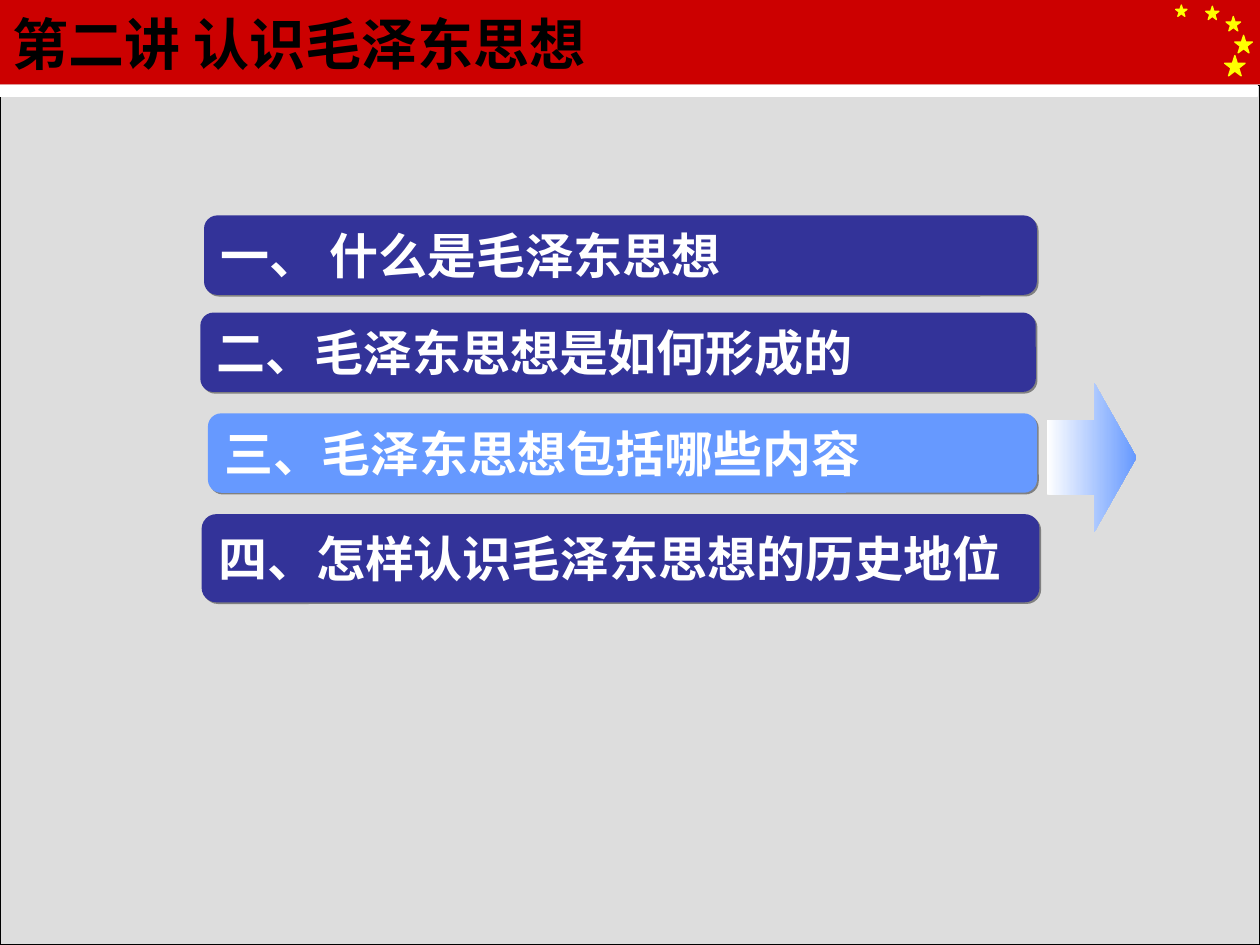
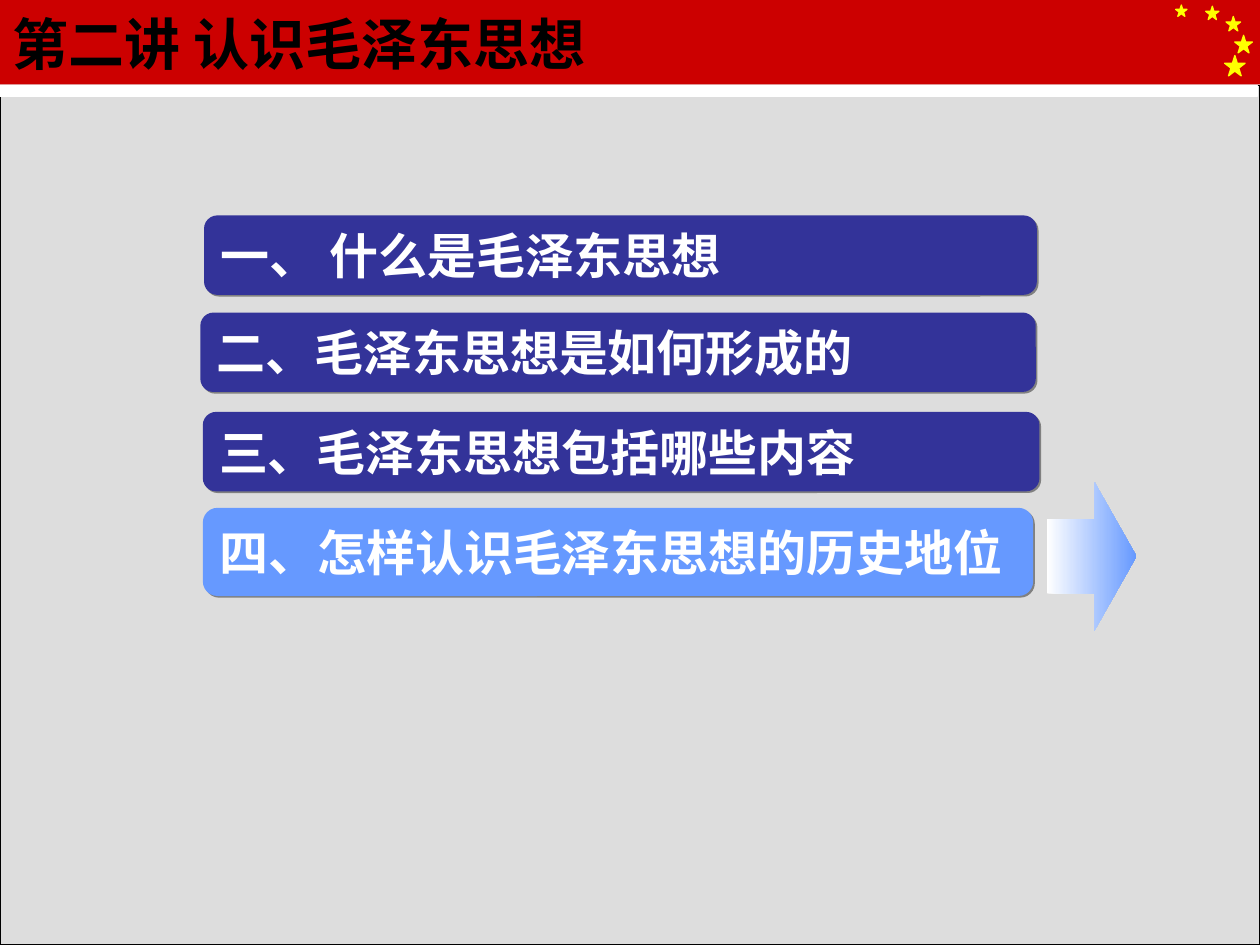
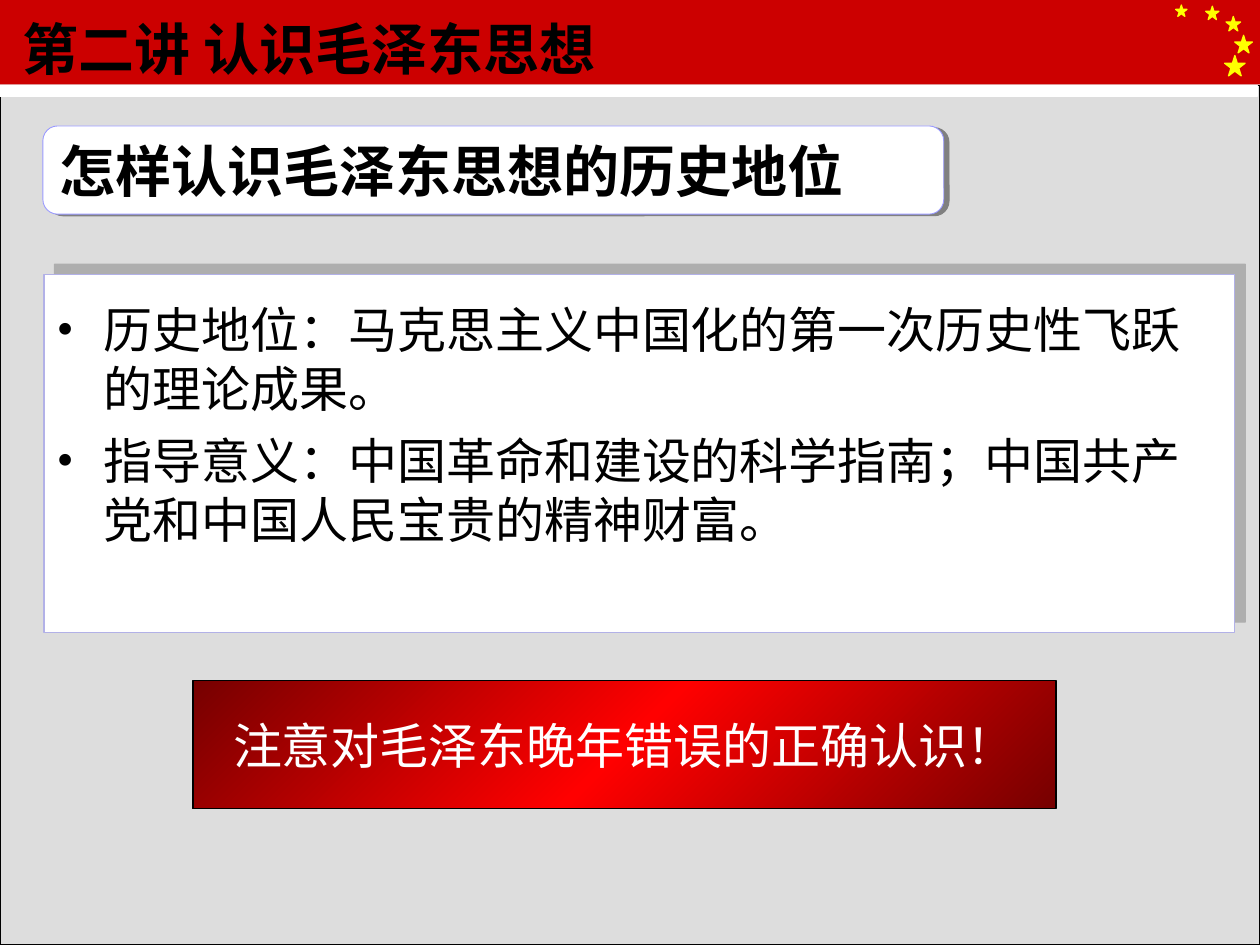
from lxml.etree import SubElement
from pptx import Presentation
from pptx.dml.color import RGBColor
from pptx.enum.shapes import MSO_SHAPE
from pptx.enum.text import MSO_ANCHOR, PP_ALIGN
from pptx.oxml.ns import qn
from pptx.util import Pt

COLORS = {
    "backdrop": "EAEAEA",
    "panel": "DDDDDD",
    "band": "CC0000",
    "star": "FFFF00",
    "white": "FFFFFF",
    "black": "000000",
    "topic": "333399",
    "current": "6699FF",
    "heading_edge": "9999FF",
    "card_edge": "B2B1E7",
    "shadow": "808080",
    "dark_red": "760000",
    "red": "FF0000",
}
CHINESE = "Noto Sans CJK SC"
LATIN = "Times New Roman"
WIDTH, HEIGHT = 720, 540
BAND_HEIGHT = 48.24
STARS = [
    (699.8, 31.7, 11.7),
    (689, 3.6, 7.6),
    (671.8, 2.9, 6.5),
    (700.6, 9.4, 8.3),
    (705.6, 20.2, 10.1),
]
TOPIC_SHADOW = (100, 1.4, 45)
LECTURE = "第二讲 认识毛泽东思想"
TOPICS = [
    "一、 什么是毛泽东思想",
    "二、毛泽东思想是如何形成的",
    "三、毛泽东思想包括哪些内容",
    "四、怎样认识毛泽东思想的历史地位",
]
INTRO_PLACES = [(116.6, 123.1, 475.9, 45.4), (114.5, 178.6, 477.4, 45.4)]
AGENDAS = [
    (2, [(118.8, 236.2, 473.8, 45.4), (115.2, 293.8, 478.8, 50.4)]),
    (3, [(115.9, 235.4, 478.1, 45.4), (115.9, 290.2, 474.5, 50.4)]),
]
POINTS = [
    "历史地位：马克思主义中国化的第一次历史性飞跃的理论成果。",
    "指导意义：中国革命和建设的科学指南；中国共产党和中国人民宝贵的精神财富。",
]


def apply(target, values):
    for name, value in values.items():
        setattr(target, name, value)


def rgb(color):
    return RGBColor.from_string(COLORS[color])


def add_color(parent, color):
    return SubElement(parent, qn("a:srgbClr"), val=COLORS[color])


class Deck:
    def __init__(self):
        self.presentation = Presentation()
        apply(self.presentation, {"slide_width": Pt(WIDTH), "slide_height": Pt(HEIGHT)})
        self.slide = None

    def start(self, title_place):
        self.slide = self.presentation.slides.add_slide(self.presentation.slide_layouts[6])
        backdrop = self.slide.background.fill
        backdrop.solid()
        backdrop.fore_color.rgb = rgb("backdrop")
        self.shape((0, 0, WIDTH, BAND_HEIGHT), "band")
        for left, top, size in STARS:
            self.shape((left, top, size, size), "star", MSO_SHAPE.STAR_5_POINT, ("star", 0.75))
        self.shape((0, 49, WIDTH, HEIGHT - 49), "panel", edge=("black", 0.75))
        self.shape((0, 49, 718.6, 5.8), "white", edge=("white", 0.75))
        title = self.text_box(title_place)
        self.add_text(title, [LECTURE], 32, "black", bold=True, latin=CHINESE)

    def shape(self, place, fill=None, kind=MSO_SHAPE.RECTANGLE, edge=None, shadow=None):
        shape = self.slide.shapes.add_shape(kind, *map(Pt, place))
        shape.shadow.inherit = False
        if fill:
            shape.fill.solid()
            shape.fill.fore_color.rgb = rgb(fill)
        if edge:
            shape.line.color.rgb = rgb(edge[0])
            shape.line.width = Pt(edge[1])
        else:
            shape.line.fill.background()
        if shadow:
            self.cast_shadow(shape, *shadow)
        return shape

    def cast_shadow(self, shape, opacity, distance, angle):
        effects = shape._element.spPr.find(qn("a:effectLst"))
        outer = SubElement(effects, qn("a:outerShdw"), blurRad="0", dist=str(Pt(distance)),
                           dir=str(angle * 60000), algn="ctr", rotWithShape="0")
        SubElement(add_color(outer, "shadow"), qn("a:alpha"), val=str(opacity * 1000))

    def gradient(self, shape, colors, angle):
        properties = shape._element.spPr
        fill = SubElement(properties, qn("a:gradFill"), rotWithShape="1")
        stops = SubElement(fill, qn("a:gsLst"))
        for index, color in enumerate(colors):
            position = 100000 * index // (len(colors) - 1)
            add_color(SubElement(stops, qn("a:gs"), pos=str(position)), color)
        SubElement(fill, qn("a:lin"), ang=str(angle * 60000), scaled="0")
        properties.find(qn("a:prstGeom")).addnext(fill)

    def text_box(self, place):
        return self.slide.shapes.add_textbox(*map(Pt, place))

    def add_text(self, shape, lines, size, color, bold=False, latin=LATIN, bullets=False,
                 align=PP_ALIGN.LEFT, anchor=MSO_ANCHOR.MIDDLE, wrap=True):
        frame = shape.text_frame
        inset = Pt(3.6) if bullets else 0
        apply(frame, {"word_wrap": wrap, "vertical_anchor": anchor,
                      "margin_left": Pt(7.2), "margin_right": Pt(7.2),
                      "margin_top": inset, "margin_bottom": inset})
        for index, line in enumerate(lines):
            paragraph = frame.add_paragraph() if index else frame.paragraphs[0]
            paragraph.alignment = align
            if bullets:
                self.bullet(paragraph, color, 7 if index else 0)
            run = paragraph.add_run()
            run.text = line
            apply(run.font, {"size": Pt(size), "bold": bold, "name": latin})
            run.font.color.rgb = rgb(color)
            SubElement(run._r.get_or_add_rPr(), qn("a:ea"), typeface=CHINESE)

    def bullet(self, paragraph, color, gap):
        apply(paragraph, {"line_spacing": Pt(33.7), "space_before": Pt(gap)})
        properties = paragraph._p.get_or_add_pPr()
        properties.set("marL", str(Pt(27)))
        properties.set("indent", str(-Pt(27)))
        add_color(SubElement(properties, qn("a:buClr")), color)
        SubElement(properties, qn("a:buFont"), typeface=LATIN)
        SubElement(properties, qn("a:buChar"), char="•")

    def topic(self, place, text, fill):
        bar = self.shape(place, fill, MSO_SHAPE.ROUNDED_RECTANGLE, shadow=TOPIC_SHADOW)
        self.add_text(bar, [text], 28, "white", bold=True)

    def pointer(self, place):
        middle = place[1] + place[3] / 2
        arrow = self.shape((598.3, middle - 40, 51.1, 85), kind=MSO_SHAPE.RIGHT_ARROW)
        arrow.adjustments[1] = 0.47
        self.gradient(arrow, ["white", "current"], 0)

    def agenda(self, current, places):
        self.start((0, 0, 540, 49))
        self.pointer(places[current])
        self.topic(places[current], TOPICS[current], "current")
        for index, (place, text) in enumerate(zip(places, TOPICS)):
            if index != current:
                self.topic(place, text, "topic")

    def conclusion(self):
        self.start((5.8, 0, 524.2, 54.7))
        heading = self.shape((24.5, 72, 514.8, 50.4), "white", MSO_SHAPE.ROUNDED_RECTANGLE,
                             ("heading_edge", 0.5), (100, 3.2, 18))
        self.add_text(heading, ["怎样认识毛泽东思想的历史地位"], 32, "black", bold=True)
        self.shape((25.2, 157, 680.4, 204.5), "white", edge=("card_edge", 0.75),
                   shadow=(50, 8.5, 315))
        points = self.text_box((25.2, 167.8, 668.9, 187.2))
        self.add_text(points, POINTS, 28, "black", bullets=True, anchor=MSO_ANCHOR.TOP)
        warning = self.shape((110.2, 388.8, 493.2, 73.4), edge=("black", 0.75))
        self.gradient(warning, ["dark_red", "red", "dark_red"], 45)
        self.add_text(warning, ["注意对毛泽东晚年错误的正确认识！"], 28, "white",
                      align=PP_ALIGN.CENTER, wrap=False)


def main():
    deck = Deck()
    for current, closing_places in AGENDAS:
        deck.agenda(current, INTRO_PLACES + closing_places)
    deck.conclusion()
    deck.presentation.save("out.pptx")


if __name__ == "__main__":
    main()
